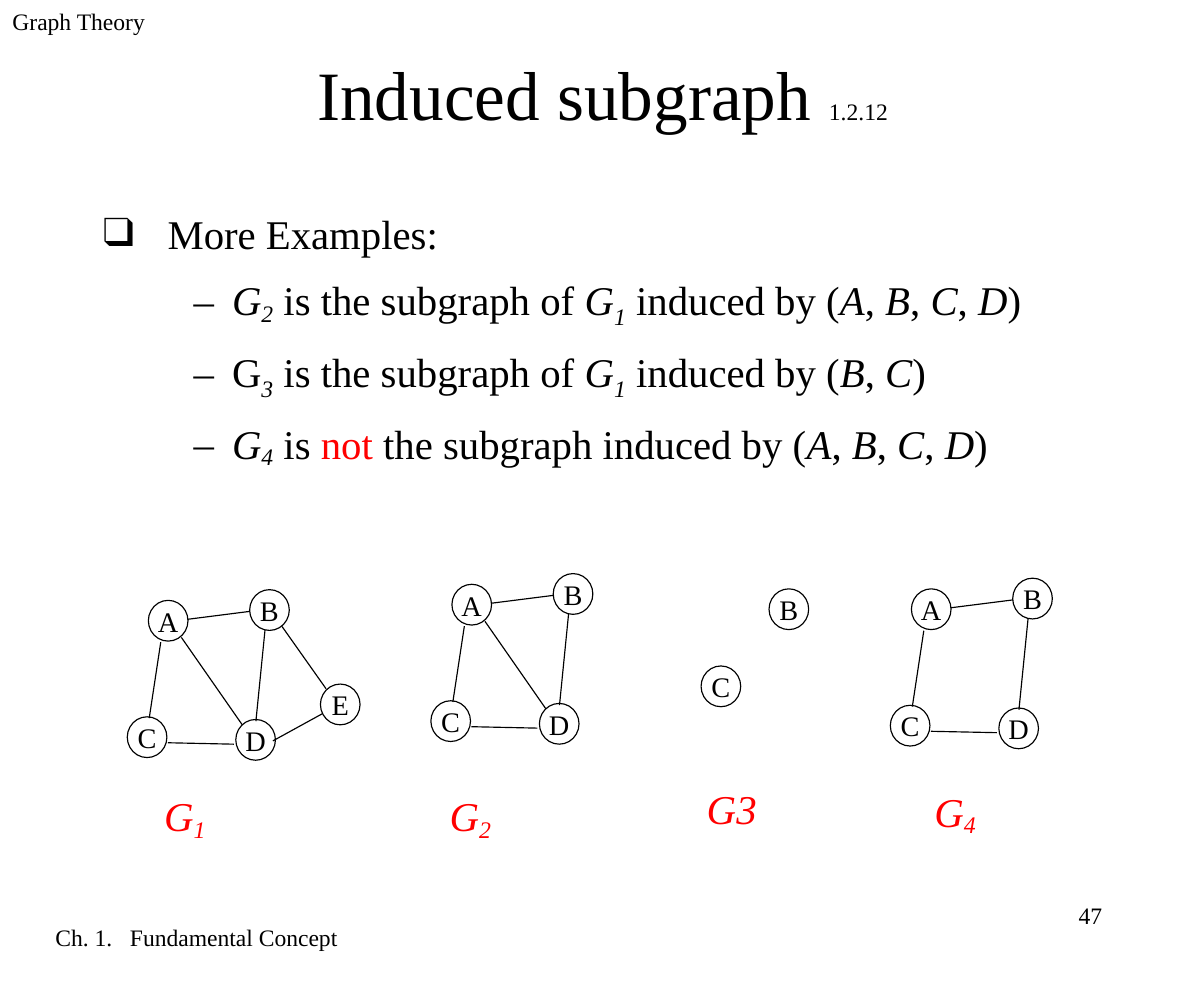
"""Build the slide on induced subgraphs with four small example graphs."""
from lxml.etree import SubElement as Sub
from pptx import Presentation
from pptx.dml.color import RGBColor as Rgb
from pptx.enum.shapes import MSO_CONNECTOR as Conn, MSO_SHAPE as Kind
from pptx.enum.text import MSO_ANCHOR as Anchor, MSO_AUTO_SIZE as Auto, PP_ALIGN as Align
from pptx.oxml.ns import qn
from pptx.util import Pt


class Theme:
    font = "Times New Roman"
    ink = Rgb(0, 0, 0)
    red = Rgb(255, 0, 0)
    title, label, body, node, small = 44, 26, 25.9, 18, 15
    line = 0.75


def write(para, text, size, color=Theme.ink, slant=False, drop=0):
    run = para.add_run()
    run.text = text
    font = run.font
    font.name, font.size, font.italic = Theme.font, Pt(size), slant
    font.color.rgb = color
    if drop:
        font._element.set("baseline", str(-1000 * drop))


def place(shape, left, top, width, height, anchor=Anchor.TOP):
    shape.left, shape.top, shape.width, shape.height = map(Pt, (left, top, width, height))
    frame = shape.text_frame
    frame.auto_size, frame.word_wrap = Auto.NONE, True
    frame.vertical_anchor = anchor
    frame.margin_left = frame.margin_right = Pt(7.9)
    frame.margin_top = frame.margin_bottom = Pt(4.3)
    return frame


deck = Presentation()
deck.slide_width, deck.slide_height = Pt(765.4), Pt(623.5)
slide = deck.slides.add_slide(deck.slide_layouts[1])
shapes = slide.shapes
title, body = slide.placeholders

notes = [
    ("Graph Theory", 0, 0, 160, Align.LEFT),
    ("Ch. 1.   Fundamental Concept", 0, 582.5, 250, Align.CENTER),
    ("47", 548.6, 568, 160, Align.RIGHT),
]
for text, left, top, width, align in notes:
    para = place(shapes.add_textbox(0, 0, 0, 0), left, top, width, 41.5).paragraphs[0]
    para.alignment = align
    write(para, text, Theme.small)

para = place(title, 57.6, 18.7, 651, 80.6, Anchor.MIDDLE).paragraphs[0]
para.alignment = Align.CENTER
write(para, "Induced subgraph ", Theme.title)
write(para, "1.2.12", Theme.small)

ink, red = Theme.ink, Theme.red
part = [(" is the subgraph of ",), ("G", ink, True), ("1", ink, True, 25), (" induced by (",)]
points = [
    ([("More Examples:",)], ""),
    ([("G", ink, True), ("2", ink, True, 18), *part], "ABCD"),
    ([("G",), ("3", ink, True, 25), *part], "BC"),
    ([("G", ink, True), ("4", ink, True, 16), (" is ",), ("not", red),
      (" the subgraph induced by (",)], "ABCD"),
]
frame = place(body, 57.6, 123.8, 654.5, 183.6)
for row, (runs, names) in enumerate(points):
    para = frame.add_paragraph() if row else frame.paragraphs[0]
    para.level = 1 if row else 0
    para.line_spacing, para.space_before = 1.0 if row else 1.15, Pt(10.5)
    left, hang, mark = (82, 24.5, "–") if row else (41, 41, "❑")
    props = para._p.get_or_add_pPr()
    props.set("marL", str(Pt(left)))
    props.set("indent", str(-Pt(hang)))
    Sub(Sub(props, qn("a:buClr")), qn("a:srgbClr"), val=str(ink))
    Sub(props, qn("a:buFont"), typeface=Theme.font)
    Sub(props, qn("a:buChar"), char=mark)
    for text, *style in runs:
        write(para, text, Theme.body, *style)
    for spot, name in enumerate(names):
        write(para, name, Theme.body, slant=True)
        write(para, ", " if spot < len(names) - 1 else ")", Theme.body)

full = {"A": (0, 0), "B": (64.4, -6.8), "C": (-13.4, 74), "D": (55.6, 75.7), "E": (109.4, 53.2)}
pair = {"B": (43.2, 0), "C": (0, 49)}
edges = {
    "AC": (7.9, 26.6, 0.6, 74.8),
    "AB": (25.2, 12, 64.6, 7),
    "CD": (12.4, 90.5, 54.4, 91.4),
    "DE": (79.2, 89.3, 110.7, 72),
    "BE": (85, 16.6, 113, 56.2),
    "AD": (21, 23.5, 59.8, 79.2),
    "BD": (74.2, 18.7, 68.4, 76.8),
}
graphs = [
    ((94.3, 381.6), full, "ABCDE", edges, ("G", "1"), (96.5, 498.2)),
    ((287.3, 371.4), full, "ABCD", ("AC", "AB", "CD", "AD", "BD"), ("G", "2"), (277.9, 498.2)),
    ((445.7, 374.3), pair, "BC", (), ("G3", ""), (441.4, 493.9)),
    ((579.4, 374.3), full, "ABCD", ("AC", "AB", "CD", "BD"), ("G", "4"), (586.1, 495.4)),
]
for (left, top), spots, names, links, (word, sub), tag in graphs:
    for link in links:
        x1, y1, x2, y2 = edges[link]
        edge = shapes.add_connector(Conn.STRAIGHT, Pt(left + x1), Pt(top + y1),
                                    Pt(left + x2), Pt(top + y2))
        edge.line.color.rgb, edge.line.width = ink, Pt(Theme.line)
        Sub(edge._element.spPr, qn("a:effectLst"))
    for name in names:
        x, y = spots[name]
        node = shapes.add_shape(Kind.OVAL, 0, 0, 0, 0)
        frame = place(node, left + x, top + y, 25.2, 25.9, Anchor.MIDDLE)
        frame.margin_left = frame.margin_right = frame.margin_top = frame.margin_bottom = 0
        frame.word_wrap = False
        node.shadow.inherit = False
        node.fill.background()
        node.line.color.rgb, node.line.width = ink, Pt(Theme.line)
        para = frame.paragraphs[0]
        para.alignment = Align.CENTER
        write(para, name, Theme.node)
    para = place(shapes.add_textbox(0, 0, 0, 0), *tag, 90.7, 41).paragraphs[0]
    write(para, word, Theme.label, red, True)
    if sub:
        write(para, sub, Theme.label, red, True, 16)

deck.save("out.pptx")
